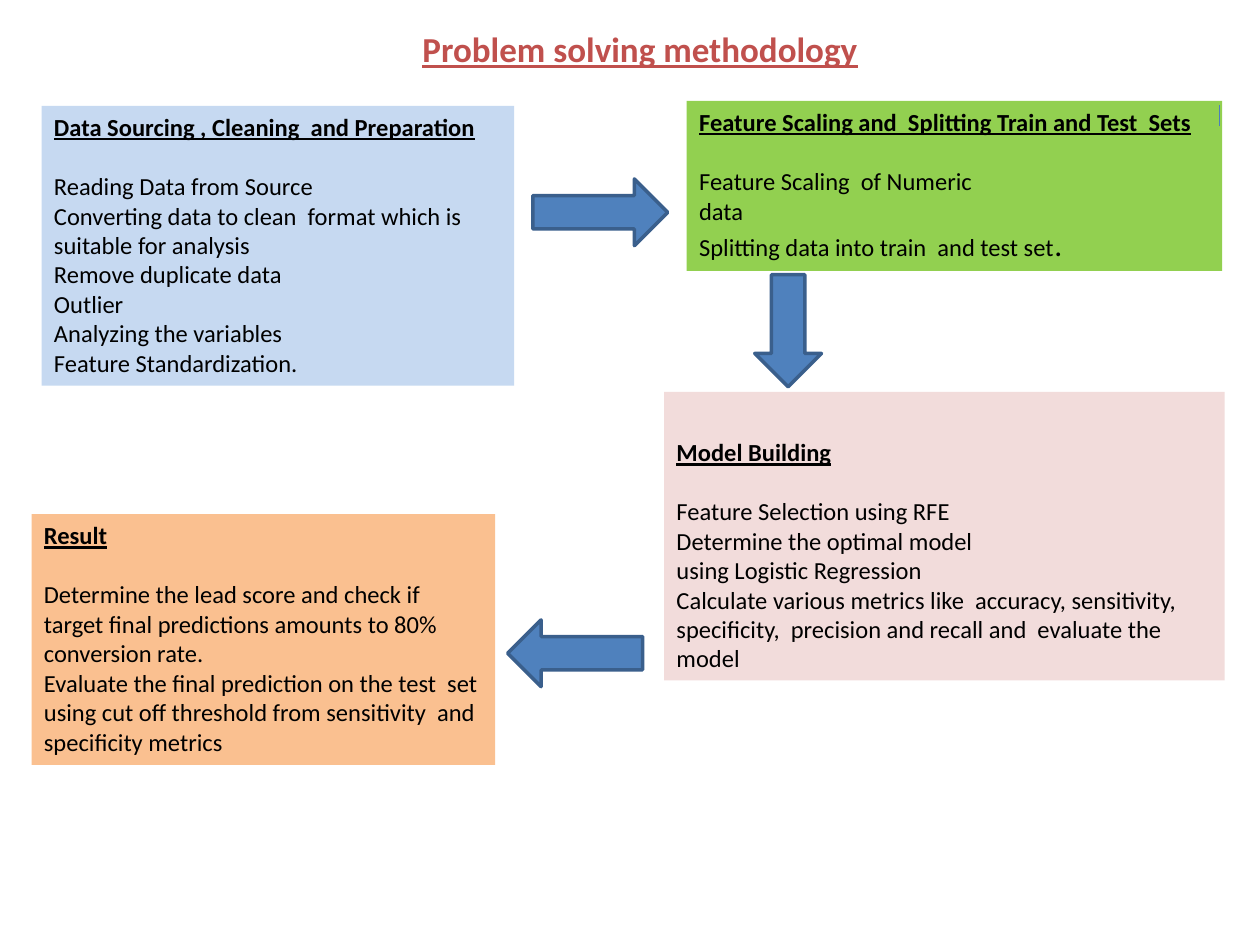
from pptx import Presentation
from pptx.dml.color import RGBColor
from pptx.enum.shapes import MSO_CONNECTOR, MSO_SHAPE
from pptx.enum.text import MSO_ANCHOR, MSO_AUTO_SIZE, PP_ALIGN
from pptx.oxml.ns import qn
from pptx.util import Inches, Pt
from lxml import etree

BLACK = RGBColor(0x00, 0x00, 0x00)
RED = RGBColor(0xC0, 0x50, 0x4D)
ORANGE = RGBColor(0xFA, 0xC0, 0x90)
GREEN = RGBColor(0x92, 0xD0, 0x50)
PINK = RGBColor(0xF2, 0xDC, 0xDB)
PALE_BLUE = RGBColor(0xC6, 0xD9, 0xF1)
BLUE = RGBColor(0x4F, 0x81, 0xBD)
DARK_BLUE = RGBColor(0x3A, 0x5F, 0x8C)
TICK_BLUE = RGBColor(0x4B, 0x7E, 0xBC)

BODY = {"name": "Calibri", "size": Pt(14), "bold": False, "underline": False}
HEADING = {**BODY, "bold": True, "underline": True}
TITLE = {**HEADING, "size": Pt(20)}
LARGE = {**BODY, "size": Pt(18)}
BLANK_LINE = Pt(17)

STEPS = [
    (ORANGE, (0.25, 4.08, 3.68, 1.99), 0.05, "Result", [
        "Determine the lead score and check if  target final predictions "
        "amounts to 80%  conversion rate.",
        "Evaluate the final prediction on the test  set using cut off "
        "threshold from sensitivity  and specificity metrics",
    ]),
    (GREEN, (5.45, 0.8, 4.25, 1.35), 0.05,
     "Feature Scaling and  Splitting Train and Test  Sets", [
        "Feature Scaling  of Numeric",
        "data",
        "Splitting data into train  and test set",
    ]),
    (PINK, (5.27, 3.11, 4.45, 2.29), 0.36, "Model Building", [
        "Feature Selection using RFE",
        "Determine the optimal model",
        "using Logistic Regression",
        "Calculate various metrics like  accuracy, sensitivity, specificity,  "
        "precision and recall and  evaluate the model",
    ]),
    (PALE_BLUE, (0.33, 0.84, 3.75, 2.22), 0.05,
     "Data Sourcing , Cleaning  and Preparation", [
        "Reading Data from Source",
        "Converting data to clean  format which is suitable for analysis",
        "Remove duplicate data",
        "Outlier",
        "Analyzing the variables",
        "Feature Standardization.",
    ]),
]

ARROWS = [
    (MSO_SHAPE.RIGHT_ARROW, (4.23, 1.42, 1.07, 0.53)),
    (MSO_SHAPE.DOWN_ARROW, (5.99, 2.18, 0.53, 0.89)),
    (MSO_SHAPE.LEFT_ARROW, (4.03, 4.92, 1.07, 0.53)),
]


def add_run(p, text, style, color=BLACK):
    r = p.add_run()
    r.text = text
    for key, value in style.items():
        setattr(r.font, key, value)
    r.font.color.rgb = color


def add_title(s, text):
    sp = s.shapes.title
    sp.left, sp.top, sp.width, sp.height = map(Inches, (3.25, 0.17, 3.66, 0.44))
    tf = sp.text_frame
    tf.word_wrap = False
    tf.auto_size = MSO_AUTO_SIZE.SHAPE_TO_FIT_TEXT
    tf.vertical_anchor = MSO_ANCHOR.TOP
    p = tf.paragraphs[0]
    p.alignment = PP_ALIGN.CENTER
    add_run(p, text, TITLE, RED)


def add_filled(s, kind, box, fill):
    sp = s.shapes.add_shape(kind, *map(Inches, box))
    sp.shadow.inherit = False
    sp.fill.solid()
    sp.fill.fore_color.rgb = fill
    return sp


def add_step(s, fill, box, margin_top, heading, lines):
    sp = add_filled(s, MSO_SHAPE.RECTANGLE, box, fill)
    sp.line.fill.background()
    tf = sp.text_frame
    tf.word_wrap = True
    tf.auto_size = MSO_AUTO_SIZE.SHAPE_TO_FIT_TEXT
    tf.vertical_anchor = MSO_ANCHOR.TOP
    tf.margin_top = Inches(margin_top)
    p = tf.paragraphs[0]
    p.alignment = PP_ALIGN.LEFT
    p.space_after = BLANK_LINE
    add_run(p, heading, HEADING)
    for line in lines:
        p = tf.add_paragraph()
        p.alignment = PP_ALIGN.LEFT
        add_run(p, line, BODY)
    return sp


def add_arrow(s, kind, box):
    sp = add_filled(s, kind, box, BLUE)
    sp.line.color.rgb = DARK_BLUE
    sp.line.width = Pt(2)


def add_tick(s, x, start, end):
    sp = s.shapes.add_connector(
        MSO_CONNECTOR.STRAIGHT, Inches(x), Inches(start), Inches(x), Inches(end))
    sp.line.color.rgb = TICK_BLUE
    sp.line.width = Pt(0.75)
    etree.SubElement(sp._element.spPr, qn("a:effectLst"))


def main():
    prs = Presentation()
    prs.slide_width, prs.slide_height = Inches(10), Inches(7.5)
    s = prs.slides.add_slide(prs.slide_layouts[5])
    add_title(s, "Problem solving methodology")
    result, scaling, model, sourcing = [add_step(s, *step) for step in STEPS]
    add_run(scaling.text_frame.paragraphs[-1], ".", LARGE)
    add_tick(s, 9.68, 1, 0.83)
    for arrow in ARROWS:
        add_arrow(s, *arrow)
    prs.save("out.pptx")


if __name__ == "__main__":
    main()
